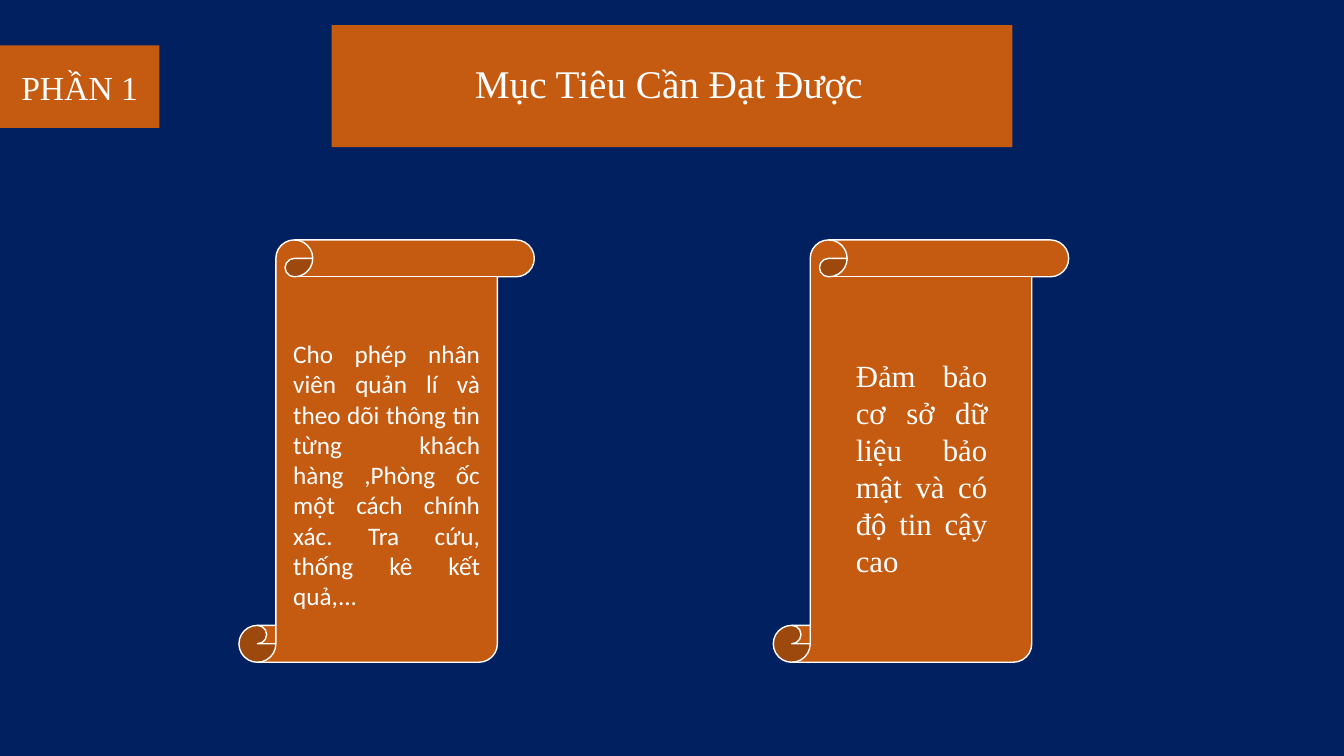
"""Build the slide listing the goals of part 1 on two scrolls."""
from pptx import Presentation
from pptx.dml.color import RGBColor
from pptx.enum.shapes import MSO_SHAPE as Shape
from pptx.enum.text import MSO_ANCHOR as Anchor, MSO_AUTO_SIZE as AutoSize, PP_ALIGN as Align
from pptx.util import Inches, Pt

COLORS = {"navy": "002060", "orange": "C55A11", "white": "FFFFFF"}
SERIF = "Times New Roman"


def fill_solid(fill, color):
    fill.solid()
    fill.fore_color.rgb = RGBColor.from_string(COLORS[color])


def write_text(shape, text, font_name, size, alignment):
    shape.text_frame.word_wrap = True
    paragraph = shape.text_frame.paragraphs[0]
    paragraph.text = text
    paragraph.alignment = alignment
    paragraph.line_spacing = 1.0
    paragraph.font.name = font_name
    paragraph.font.size = Pt(size)
    paragraph.font.color.rgb = RGBColor.from_string(COLORS["white"])


presentation = Presentation()
presentation.slide_width = Inches(13.33)
presentation.slide_height = Inches(7.5)
slide = presentation.slides.add_slide(presentation.slide_layouts[5])
fill_solid(slide.background.fill, "navy")

title = slide.shapes.title
title.left, title.top = Inches(3.29), Inches(0.25)
title.width, title.height = Inches(6.75), Inches(1.21)
fill_solid(title.fill, "orange")
write_text(title, "Mục Tiêu Cần Đạt Được", SERIF, 28, Align.LEFT)
title.text_frame.auto_size = AutoSize.NONE
title.text_frame.vertical_anchor = Anchor.MIDDLE
title.text_frame.margin_left = Inches(1.42)
title.text_frame.margin_top = 0
title.text_frame.margin_bottom = Inches(0.06)

part_label = slide.shapes.add_shape(
    Shape.RECTANGLE, 0, Inches(0.45), Inches(1.58), Inches(0.82))
part_label.shadow.inherit = False
fill_solid(part_label.fill, "orange")
part_label.line.fill.background()
write_text(part_label, "PHẦN 1", SERIF, 24, Align.CENTER)

goals = [
    (2.37, (2.81, 3.31, 2.05, 3.13), "Calibri", 18,
     "Cho phép nhân viên quản lí và theo dõi thông tin từng khách hàng ,"
     "Phòng ốc một cách chính xác. Tra cứu, thống kê kết quả,..."),
    (7.67, (8.39, 3.49, 1.5, 2.32), SERIF, 22,
     "Đảm bảo cơ sở dữ liệu bảo mật và có độ tin cậy cao"),
]
for scroll_left, text_area, font_name, size, text in goals:
    goal = slide.shapes.add_group_shape()
    scroll = goal.shapes.add_shape(
        Shape.VERTICAL_SCROLL, Inches(scroll_left), Inches(2.38), Inches(2.93), Inches(4.19))
    scroll.shadow.inherit = False
    fill_solid(scroll.fill, "orange")
    fill_solid(scroll.line.fill, "white")
    scroll.line.width = Pt(1)
    goal_text = goal.shapes.add_textbox(*map(Inches, text_area))
    write_text(goal_text, text, font_name, size, Align.JUSTIFY)

presentation.save("out.pptx")
